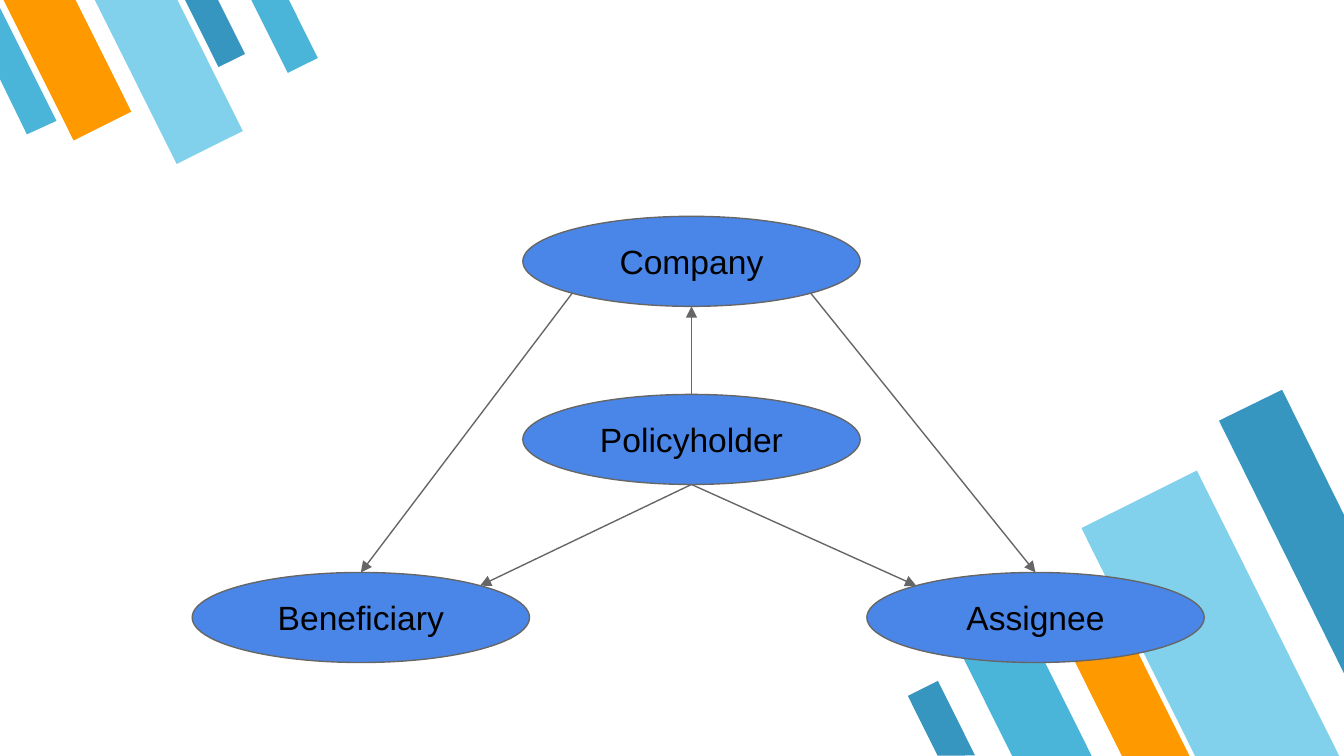
from math import sqrt

from lxml import etree
from pptx import Presentation
from pptx.dml.color import RGBColor
from pptx.enum.shapes import MSO_CONNECTOR, MSO_SHAPE
from pptx.enum.text import MSO_ANCHOR, PP_ALIGN
from pptx.oxml.ns import qn
from pptx.util import Inches, Pt

STRIPE = MSO_SHAPE.FLOWCHART_MANUAL_INPUT
OVAL = MSO_SHAPE.OVAL
STRAIGHT = MSO_CONNECTOR.STRAIGHT
MIDDLE = MSO_ANCHOR.MIDDLE
CENTER = PP_ALIGN.CENTER

TEAL, SKY, ORANGE, DEEP = "4BB5D9", "81D1EC", "FF9900", "3796BF"
NODE_FILL, LINE, TEXT = "4A86E8", "666666", "000000"

SLIDE_WIDTH = Inches(10)
SLIDE_HEIGHT = SLIDE_WIDTH * 9 // 16

NODE_WIDTH, NODE_HEIGHT = 2.51, 0.67
DIAGONAL = sqrt(0.5)
SITES = {
    "top": (0, -1), "bottom": (0, 1),
    "bottom left": (-DIAGONAL, DIAGONAL), "bottom right": (DIAGONAL, DIAGONAL),
    "top left": (-DIAGONAL, -DIAGONAL), "top right": (DIAGONAL, -DIAGONAL),
}
ROW_STEP = 2.65 / 2
NODES = {
    "Beneficiary": (0, 2 * ROW_STEP), "Assignee": (5.02, 2 * ROW_STEP),
    "Policyholder": (2.46, ROW_STEP), "Company": (2.46, 0),
}
ARROWS = [
    ("Policyholder", "top", "Company", "bottom"),
    ("Company", "bottom left", "Beneficiary", "top"),
    ("Company", "bottom right", "Assignee", "top"),
    ("Policyholder", "bottom", "Beneficiary", "top right"),
    ("Policyholder", "bottom", "Assignee", "top left"),
]

# Stripes are (left, top, width, height, colour), relative to their corner box.
TOP_STRIPES = [
    (1.49, -0.08, 0.22, 0.56, DEEP), (0.26, -0.18, 0.48, 1.18, ORANGE),
    (0.98, -0.2, 0.55, 1.37, SKY), (1.99, -0.1, 0.25, 0.62, TEAL),
]
TOP_CUT = [(0.2, 1), (0.42, 0.9), (0, 0.06), (0, 0.59)]
BOTTOM_STRIPES = [
    (0.58, 1.6, 0.53, 1.32, TEAL), (1.78, 0.69, 0.96, 2.39, SKY),
    (1.43, 1.78, 0.45, 1.11, ORANGE), (0.13, 2.19, 0.25, 0.62, DEEP),
]
BOTTOM_CUT = [(2.79, 0), (2.32, 0.23), (3.25, 2.11), (3.25, 0.93)]


def colour(hex_value):
    """Turn a hex string into a colour."""
    return RGBColor.from_string(hex_value)


def set_all(target, values):
    """Set attributes of an object from a dict."""
    for name, value in values.items():
        setattr(target, name, value)


def paint(shape, fill):
    """Give a shape a flat fill without line or shadow."""
    shape.shadow.inherit = False
    shape.fill.solid()
    shape.fill.fore_color.rgb = colour(fill)
    shape.line.fill.background()


def outline(line):
    """Apply the thin grey line of the diagram."""
    line.color.rgb = colour(LINE)
    line.width = Pt(0.75)


def add_stripes(page, left, top, stripes, rotation, cut, cut_fill):
    """Draw a corner of slanted stripes and one stripe cut by the page edge."""
    for x, y, width, height, fill in stripes:
        stripe = page.shapes.add_shape(
            STRIPE, Inches(left + x), Inches(top + y), Inches(width), Inches(height))
        stripe.rotation = rotation
        stripe._element.spPr.find(qn("a:xfrm")).set("flipH", "1")
        paint(stripe, fill)
    points = [(Inches(left + x), Inches(top + y)) for x, y in cut]
    builder = page.shapes.build_freeform(*points[0])
    builder.add_line_segments(points[1:], close=True)
    paint(builder.convert_to_shape(), cut_fill)


def add_node(page, left, top, label):
    """Draw one labelled ellipse."""
    node = page.shapes.add_shape(
        OVAL, Inches(left), Inches(top), Inches(NODE_WIDTH), Inches(NODE_HEIGHT))
    paint(node, NODE_FILL)
    outline(node.line)
    inset = Inches(0.1)
    frame = node.text_frame
    set_all(frame, {
        "word_wrap": True, "vertical_anchor": MIDDLE, "margin_left": inset,
        "margin_right": inset, "margin_top": inset, "margin_bottom": inset})
    para = frame.paragraphs[0]
    para.alignment = CENTER
    span = para.add_run()
    span.text = label
    set_all(span.font, {"name": "Arial", "size": Pt(18)})
    span.font.color.rgb = colour(TEXT)


def add_arrow(page, start, end):
    """Draw an arrow between two points."""
    arrow = page.shapes.add_connector(
        STRAIGHT, *(Inches(value) for value in (*start, *end)))
    outline(arrow.line)
    etree.SubElement(arrow.line._get_or_add_ln(), qn("a:tailEnd"), type="triangle")
    etree.SubElement(arrow._element.spPr, qn("a:effectLst"))


def add_diagram(page, left, top):
    """Draw the parties and the arrows between them."""
    def site_point(label, site):
        """Find a point on the edge of a node."""
        x, y = NODES[label]
        across, down = SITES[site]
        return (left + x + NODE_WIDTH / 2 * (1 + across),
                top + y + NODE_HEIGHT / 2 * (1 + down))

    for label, (x, y) in NODES.items():
        add_node(page, left + x, top + y, label)
    for source, source_site, target, target_site in ARROWS:
        add_arrow(page, site_point(source, source_site), site_point(target, target_site))


def main():
    """Build and save the deck."""
    deck = Presentation()
    set_all(deck, {"slide_width": SLIDE_WIDTH, "slide_height": SLIDE_HEIGHT})
    page = deck.slides.add_slide(deck.slide_layouts[6])
    add_stripes(page, 6.75, 2.9, BOTTOM_STRIPES, 153.5, BOTTOM_CUT, DEEP)
    add_stripes(page, 0, 0, TOP_STRIPES, 333.5, TOP_CUT, TEAL)
    add_diagram(page, 1.43, 1.61)
    deck.save("out.pptx")


main()
